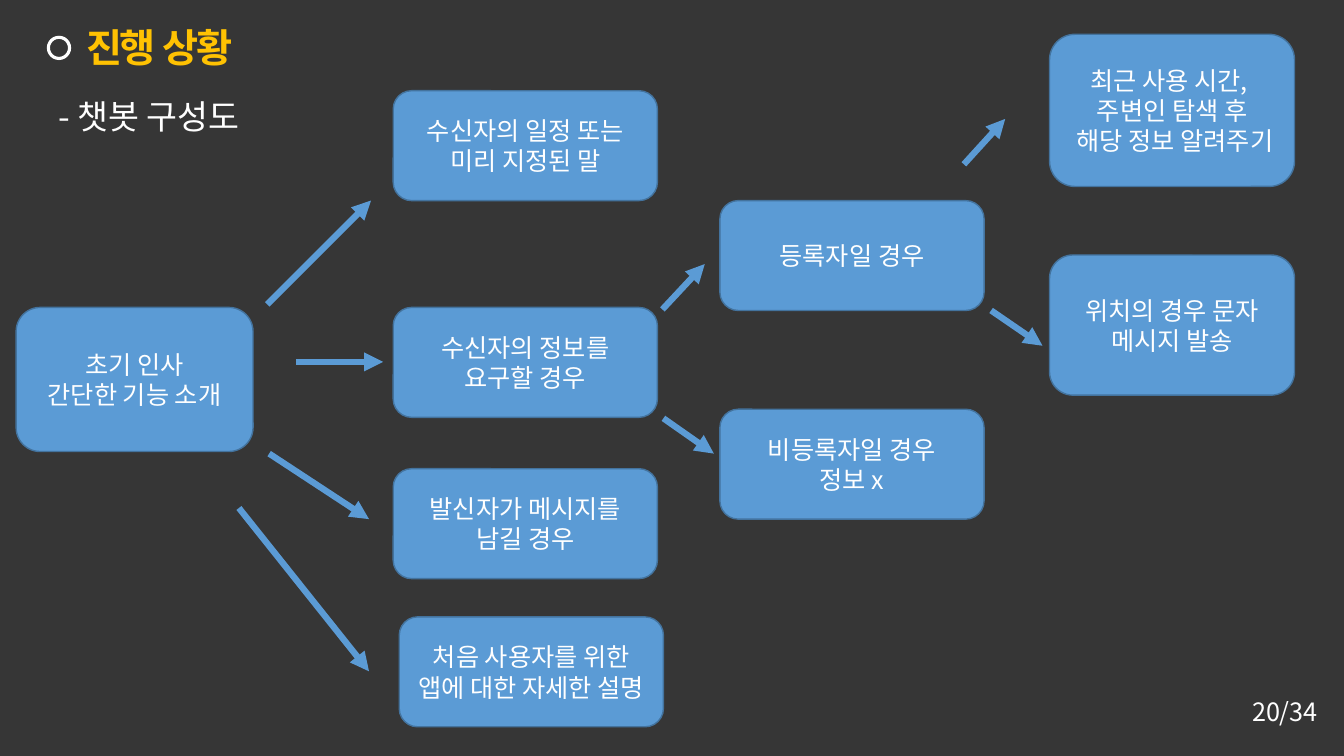
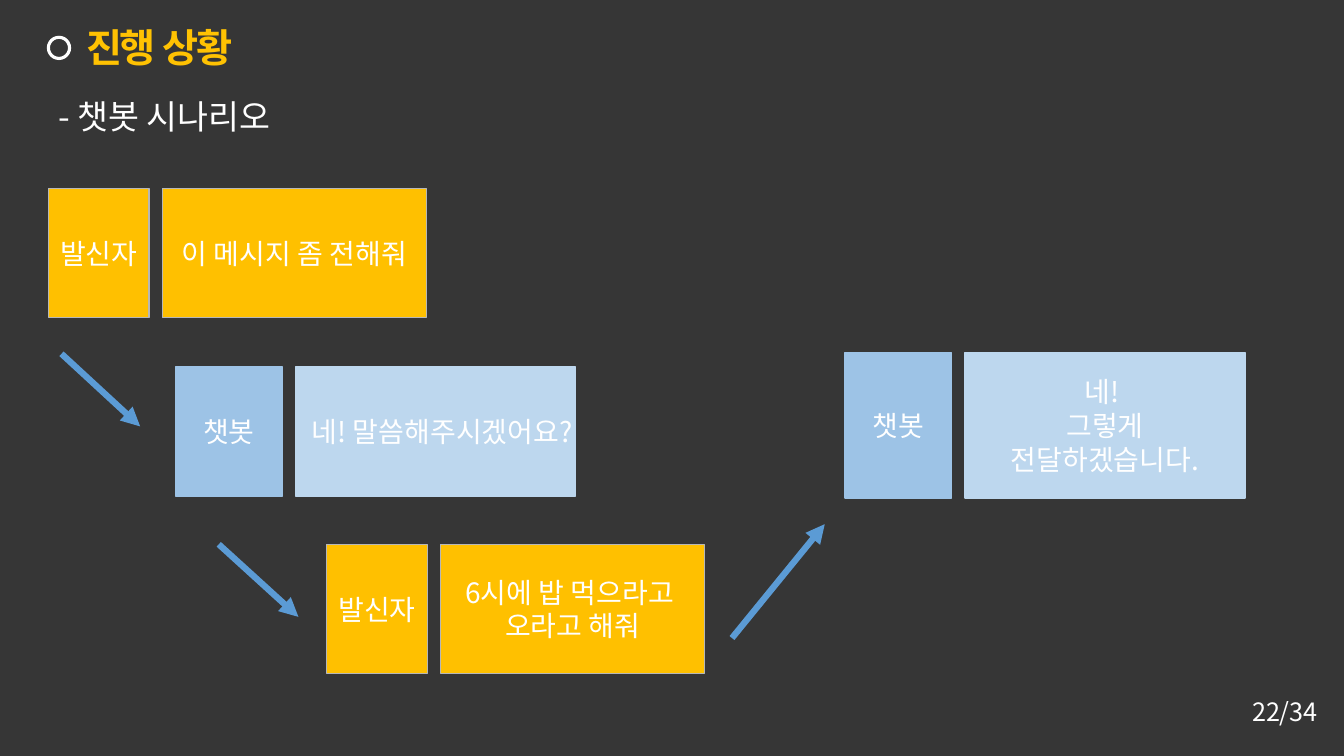
"""Build two dark slides showing a chatbot's structure and a sample conversation."""
from dataclasses import dataclass
from typing import NamedTuple

from lxml.etree import SubElement
from pptx import Presentation
from pptx.dml.color import RGBColor
from pptx.enum.shapes import MSO_CONNECTOR, MSO_SHAPE as Geo
from pptx.enum.text import MSO_ANCHOR as Anchor, MSO_AUTO_SIZE as AutoSize, PP_ALIGN as Align
from pptx.oxml.ns import qn
from pptx.util import Inches, Pt


@dataclass(frozen=True)
class Theme:
    back: str = "363636"
    title: str = "FFC202"
    text: str = "FFFFFF"
    node: str = "5B9BD5"
    node_edge: str = "43739E"
    title_font: str = "Arial"
    body_font: str = "Noto Sans CJK KR"
    title_size: float = 28
    subtitle_size: float = 24
    bubble_size: float = 20
    body_size: float = 18
    edge_width: float = 1
    ring_width: float = 2.25
    arrow_width: float = 4.5


class Box(NamedTuple):
    x: float
    y: float
    w: float
    h: float


class Node(NamedTuple):
    box: Box
    text: str


class Arrow(NamedTuple):
    x1: float
    y1: float
    x2: float
    y2: float


@dataclass(frozen=True)
class Speaker:
    name: str
    label_w: float
    message_w: float
    label_fill: str
    message_fill: str
    label_edge: str
    message_edge: str


class Turn(NamedTuple):
    speaker: Speaker
    x: float
    y: float
    h: float
    message: str


THEME = Theme()
CALLER = Speaker("발신자", 1, 2.62, "FFC000", "FFC000", "B7B7B7", "B7B7B7")
BOT = Speaker("챗봇", 1.06, 2.78, "9DC3E6", "BDD7EE", "9DC3E6", "BDD7EE")
BUBBLE_GAP = 0.13
NODE_W, NODE_H = 2.62, 1.09
REPLY_X, CASE_X, RESULT_X, RESULT_W = 3.9, 7.14, 10.41, 2.43

NODES = [
    Node(Box(0.16, 3.05, 2.35, 1.43), "초기 인사\n간단한 기능 소개"),
    Node(Box(REPLY_X, 0.9, NODE_W, NODE_H), "수신자의 일정 또는 미리 지정된 말"),
    Node(Box(REPLY_X, 3.05, NODE_W, NODE_H), "수신자의 정보를\n요구할 경우"),
    Node(Box(REPLY_X, 4.65, NODE_W, NODE_H), "발신자가 메시지를 남길 경우"),
    Node(Box(3.96, 6.12, NODE_W, NODE_H), "처음 사용자를 위한\n앱에 대한 자세한 설명"),
    Node(Box(CASE_X, 1.99, NODE_W, NODE_H), "등록자일 경우"),
    Node(Box(CASE_X, 4.06, NODE_W, NODE_H), "비등록자일 경우\n정보 x"),
    Node(Box(RESULT_X, 0.34, RESULT_W, 1.51), "최근 사용 시간, \n주변인 탐색 후\n 해당 정보 알려주기"),
    Node(Box(RESULT_X, 2.53, RESULT_W, 1.39), "위치의 경우 문자 메시지 발송"),
]
NODE_ARROWS = [
    Arrow(2.65, 3.02, 3.68, 1.99),
    Arrow(2.94, 3.59, 3.8, 3.59),
    Arrow(2.67, 4.5, 3.66, 5.15),
    Arrow(2.37, 5.04, 3.66, 6.66),
    Arrow(6.57, 3.07, 6.99, 2.62),
    Arrow(6.58, 4.15, 7.08, 4.5),
    Arrow(9.56, 1.63, 9.97, 1.18),
    Arrow(9.83, 3.08, 10.34, 3.43),
]
TURNS = [
    Turn(CALLER, 0.48, 1.87, 1.28, "이 메시지 좀 전해줘"),
    Turn(BOT, 1.74, 3.64, 1.28, "네! 말씀해주시겠어요?"),
    Turn(CALLER, 3.24, 5.4, 1.28, "6시에 밥 먹으라고 \n오라고 해줘"),
    Turn(BOT, 8.38, 3.5, 1.44, "네! \n그렇게 전달하겠습니다."),
]
TURN_ARROWS = [
    Arrow(0.61, 3.51, 1.39, 4.23),
    Arrow(2.17, 5.4, 2.96, 6.12),
    Arrow(7.26, 6.33, 8.18, 5.2),
]


def lengths(*values: float) -> list:
    return [Inches(v) for v in values]


def color(value: str) -> RGBColor:
    return RGBColor.from_string(value)


def style_text(tf, size: float, align=Align.LEFT, ink: str = THEME.text,
               font: str = THEME.body_font, bold: bool = False, spacing: float = 0) -> None:
    for p in tf.paragraphs:
        p.alignment = align
        for r in p.runs:
            r.font.size, r.font.bold = Pt(size), bold
            r.font.color.rgb = color(ink)
            r.font.name = font
            props = r._r.get_or_add_rPr()
            SubElement(props, qn("a:ea")).set("typeface", font)
            if spacing:
                props.set("spc", str(round(spacing * 100)))


def add_label(s, box: Box, text: str, size: float, wrap: bool) -> None:
    tf = s.shapes.add_textbox(*lengths(*box)).text_frame
    tf.text = text
    tf.word_wrap = wrap
    tf.auto_size = AutoSize.SHAPE_TO_FIT_TEXT
    style_text(tf, size)


def add_block(shapes, geometry, box: Box, text: str, size: float, fill: str, edge: str) -> None:
    sp = shapes.add_shape(geometry, *lengths(*box))
    sp.shadow.inherit = False
    sp.fill.solid()
    sp.fill.fore_color.rgb = color(fill)
    sp.line.color.rgb = color(edge)
    sp.line.width = Pt(THEME.edge_width)
    tf = sp.text_frame
    tf.text = text
    tf.word_wrap = True
    tf.vertical_anchor = Anchor.MIDDLE
    style_text(tf, size, Align.CENTER)


def add_arrow(s, arrow: Arrow) -> None:
    line = s.shapes.add_connector(MSO_CONNECTOR.STRAIGHT, *lengths(*arrow))
    line.line.color.rgb = color(THEME.node)
    line.line.width = Pt(THEME.arrow_width)
    SubElement(line.line._get_or_add_ln(), qn("a:tailEnd")).set("type", "triangle")
    SubElement(line._element.spPr, qn("a:effectLst"))


def add_turn(s, turn: Turn) -> None:
    who = turn.speaker
    shapes = s.shapes.add_group_shape().shapes
    add_block(shapes, Geo.RECTANGLE, Box(turn.x, turn.y, who.label_w, turn.h),
              who.name, THEME.bubble_size, who.label_fill, who.label_edge)
    message_x = turn.x + who.label_w + BUBBLE_GAP
    add_block(shapes, Geo.RECTANGLE, Box(message_x, turn.y, who.message_w, turn.h),
              turn.message, THEME.bubble_size, who.message_fill, who.message_edge)


def add_slide(prs, subtitle: str, subtitle_w: float, page: str):
    s = prs.slides.add_slide(prs.slide_layouts[5])
    title = s.shapes.title
    title.left, title.top, title.width, title.height = lengths(0.7, 0.18, 1.76, 0.57)
    tf = title.text_frame
    tf.text = "진행 상황"
    tf.word_wrap = False
    tf.auto_size = AutoSize.SHAPE_TO_FIT_TEXT
    tf.vertical_anchor = Anchor.TOP
    style_text(tf, THEME.title_size, Align.CENTER, THEME.title, THEME.title_font, True, -1.5)
    ring = s.shapes.add_shape(Geo.OVAL, *lengths(0.48, 0.37, 0.21, 0.21))
    ring.shadow.inherit = False
    ring.fill.background()
    ring.line.color.rgb = color(THEME.text)
    ring.line.width = Pt(THEME.ring_width)
    add_label(s, Box(0.48, 0.9, subtitle_w, 0.5), subtitle, THEME.subtitle_size, False)
    add_label(s, Box(12.32, 6.86, 0.86, 0.4), page, THEME.body_size, True)
    return s


def build_structure(prs) -> None:
    s = add_slide(prs, "- 챗봇 구성도", 2.1, "20/34")
    for node in NODES:
        add_block(s.shapes, Geo.ROUNDED_RECTANGLE, node.box, node.text,
                  THEME.body_size, THEME.node, THEME.node_edge)
    for arrow in NODE_ARROWS:
        add_arrow(s, arrow)


def build_scenario(prs) -> None:
    s = add_slide(prs, "- 챗봇 시나리오", 2.41, "22/34")
    for turn in TURNS:
        add_turn(s, turn)
    for arrow in TURN_ARROWS:
        add_arrow(s, arrow)


def main() -> None:
    prs = Presentation()
    prs.slide_width, prs.slide_height = lengths(13.33, 7.5)
    fill = prs.slide_master.background.fill
    fill.solid()
    fill.fore_color.rgb = color(THEME.back)
    build_structure(prs)
    build_scenario(prs)
    prs.save("out.pptx")


if __name__ == "__main__":
    main()
